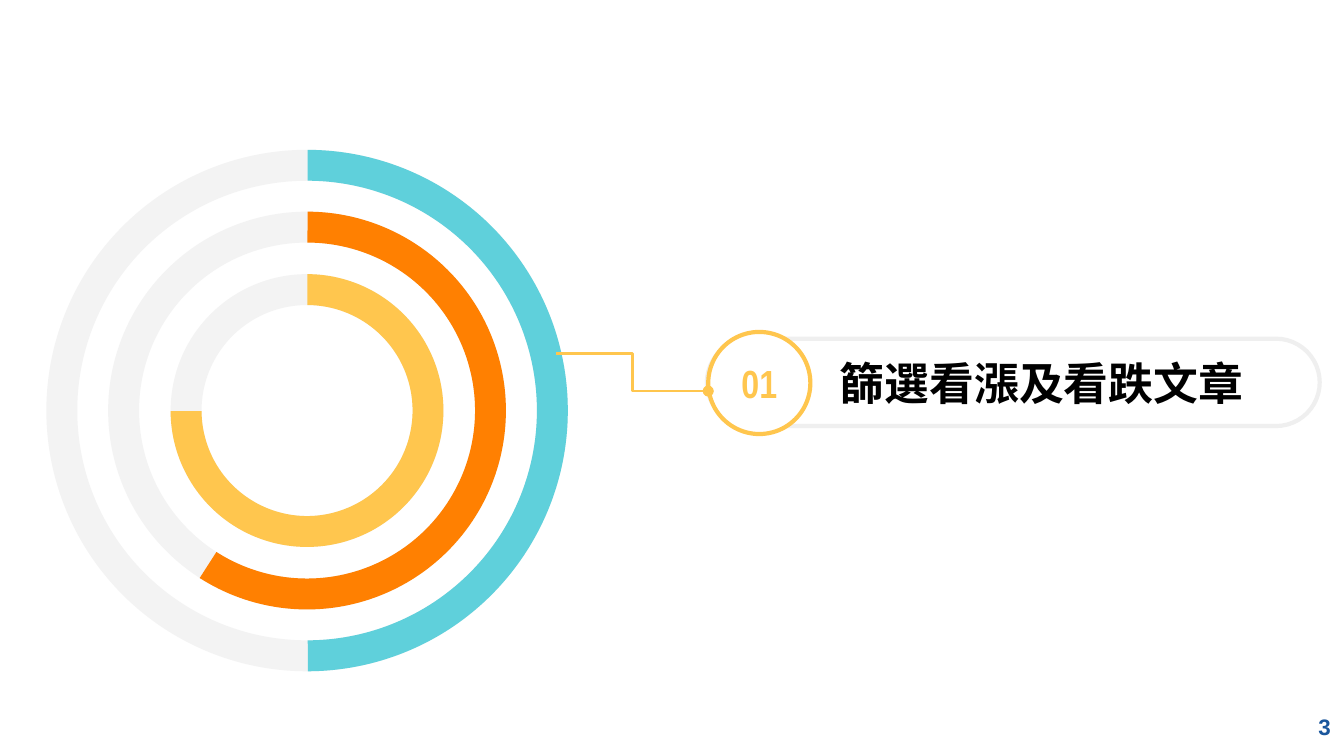
import pptx
import pptx.util
import pptx.dml.color
import pptx.enum.shapes
import pptx.enum.text
import pptx.oxml.ns
import lxml.etree

Inches = pptx.util.Inches
Pt = pptx.util.Pt
Shape = pptx.enum.shapes.MSO_SHAPE
Anchor = pptx.enum.text.MSO_ANCHOR
Align = pptx.enum.text.PP_ALIGN

COLORS = {
    "white": "FFFFFF", "black": "000000", "track": "F3F3F3", "outline": "EFEFEF",
    "teal": "5FD0DB", "orange": "FF8001", "yellow": "FFC64E", "navy": "1A569C",
}
BAND = 0.23  # thickness of every ring
ARC_START = 162.09
# ring diameter, colour, end of the arc
RINGS = [(3.88, "teal", 53.9), (2.96, "orange", 73.59), (2.03, "yellow", 107.84)]


def color(name):
    return pptx.dml.color.RGBColor.from_string(COLORS[name])


def add_xml(parent, tag, **attributes):
    return lxml.etree.SubElement(parent, pptx.oxml.ns.qn(tag), **attributes)


def draw_shape(page, kind, box, fill, line=None, adjustments=()):
    shape = page.shapes.add_shape(kind, *map(Inches, box))
    shape.shadow.inherit = False
    shape.fill.solid()
    shape.fill.fore_color.rgb = color(fill)
    if line:
        shape.line.color.rgb = color(line)
        shape.line.width = Pt(2.25)
    else:
        shape.line.fill.background()
    for index, value in enumerate(adjustments):
        shape.adjustments[index] = value
    return shape


def write(shape, text, ink, font, frame=None, align=Align.LEFT):
    """Put one formatted line in a shape; frame holds text frame settings."""
    text_frame = shape.text_frame
    settings = {"word_wrap": True, "vertical_anchor": Anchor.MIDDLE}
    for name, value in {**settings, **(frame or {})}.items():
        setattr(text_frame, name, value)
    para = text_frame.paragraphs[0]
    para.alignment = align
    span = para.add_run()
    span.text = text
    for name, value in font.items():
        setattr(span.font, name, value)
    span.font.color.rgb = color(ink)
    add_xml(span.font._element, "a:ea", typeface=font["name"])


def draw_rings(page, box):
    """Concentric progress rings, centred in the box: tracks first, then arcs."""
    left, top, width, height = box
    rings = [((left + (width - size) / 2, top + (height - size) / 2, size, size),
              BAND / size, fill, end) for size, fill, end in RINGS]
    for ring, band, _, _ in rings:
        draw_shape(page, Shape.DONUT, ring, "track", adjustments=[band])
    for ring, band, fill, end in rings:
        draw_shape(page, Shape.BLOCK_ARC, ring, fill, adjustments=[ARC_START, end, band])


def draw_badge(page, box, number):
    """Pill with a numbered circle at its left end."""
    left, top, _, _ = box
    draw_shape(page, Shape.ROUNDED_RECTANGLE, box, "white", "outline", [0.5])
    badge = draw_shape(page, Shape.OVAL, (left + 0.01, top - 0.05, 0.76, 0.76),
                       "white", "yellow")
    write(badge, number, "yellow",
          {"name": "Arial Narrow", "size": Pt(21), "bold": True},
          {"margin_left": 0, "margin_right": 0,
           "margin_top": Inches(0.09), "margin_bottom": Inches(0.1)}, Align.CENTER)


def draw_heading(page, box, text):
    heading = page.shapes.add_textbox(*map(Inches, box))
    write(heading, text, "black",
          {"name": "Noto Sans CJK TC", "size": Pt(24), "bold": True},
          {"vertical_anchor": Anchor.TOP, "margin_left": Inches(0.6),
           "margin_right": Inches(0.2), "margin_top": Inches(0.01), "margin_bottom": 0})


def draw_link(page, box):
    """Elbow line across the box, ending in a dot."""
    left, top, width, height = box
    link = page.shapes.add_connector(
        pptx.enum.shapes.MSO_CONNECTOR.ELBOW, Inches(left), Inches(top),
        Inches(left + width), Inches(top + height))
    link.line.color.rgb = color("yellow")
    link.line.width = Pt(1.5)
    add_xml(link.line._get_or_add_ln(), "a:tailEnd", type="oval")
    add_xml(link._element.spPr, "a:effectLst")


def draw_page_number(page, box, number):
    corner = page.shapes.add_textbox(*map(Inches, box))
    write(corner, number, "navy", {"name": "Arial", "size": Pt(12), "bold": True},
          {"margin_left": Inches(0.1), "margin_right": Inches(0.1)}, Align.RIGHT)


def main():
    deck = pptx.Presentation()
    deck.slide_width = Inches(10)
    deck.slide_height = deck.slide_width * 9 // 16
    page = deck.slides.add_slide(deck.slide_layouts[6])
    draw_rings(page, (0.34, 1.11, 3.89, 3.89))
    draw_badge(page, (5.26, 2.52, 4.56, 0.65), "01")
    draw_link(page, (4.14, 2.63, 1.13, 0.28))
    draw_heading(page, (5.65, 2.64, 4.17, 0.83), "篩選看漲及看跌文章")
    draw_page_number(page, (9.4, 5.19, 0.6, 0.43), "3")
    deck.save("out.pptx")


if __name__ == "__main__":
    main()
